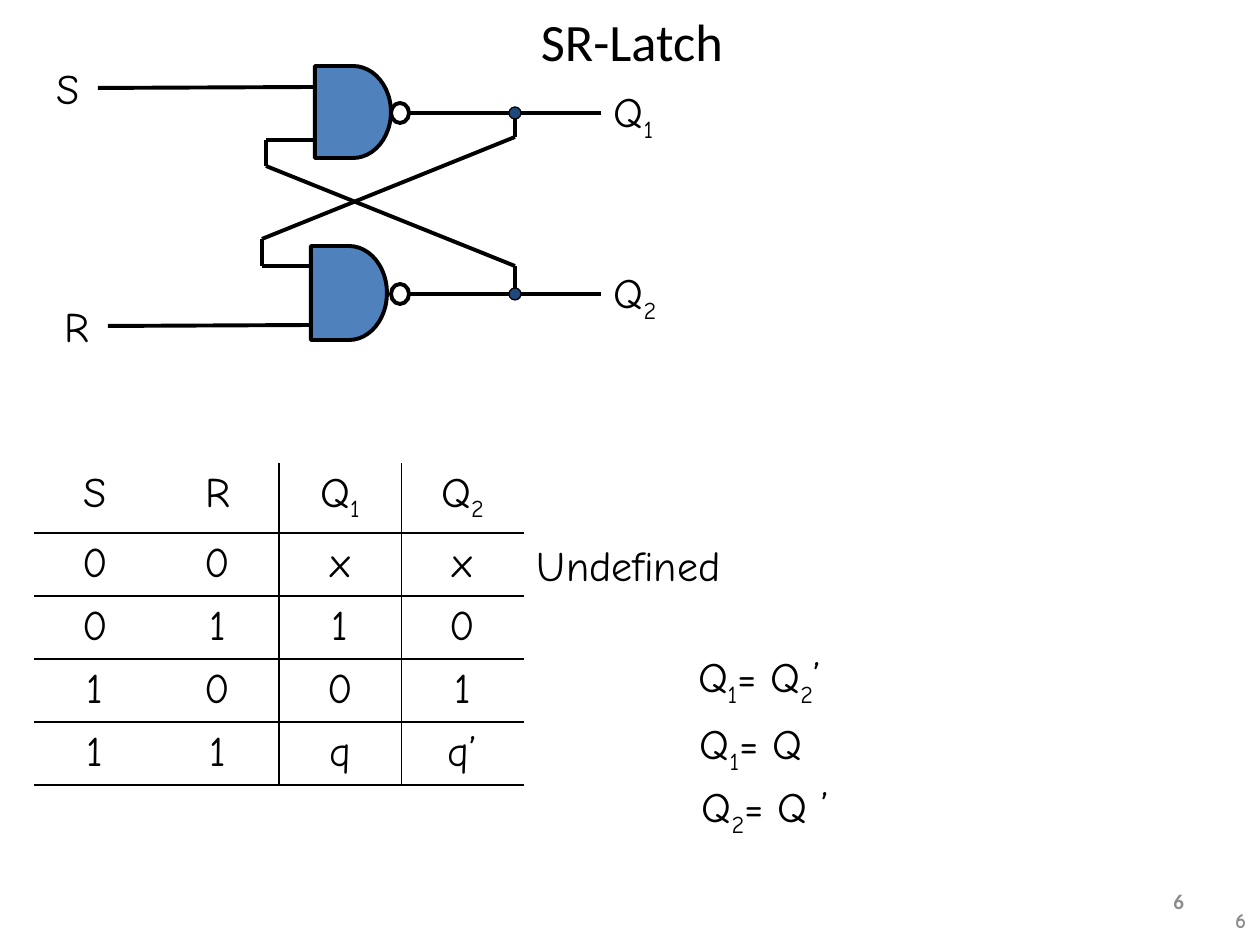
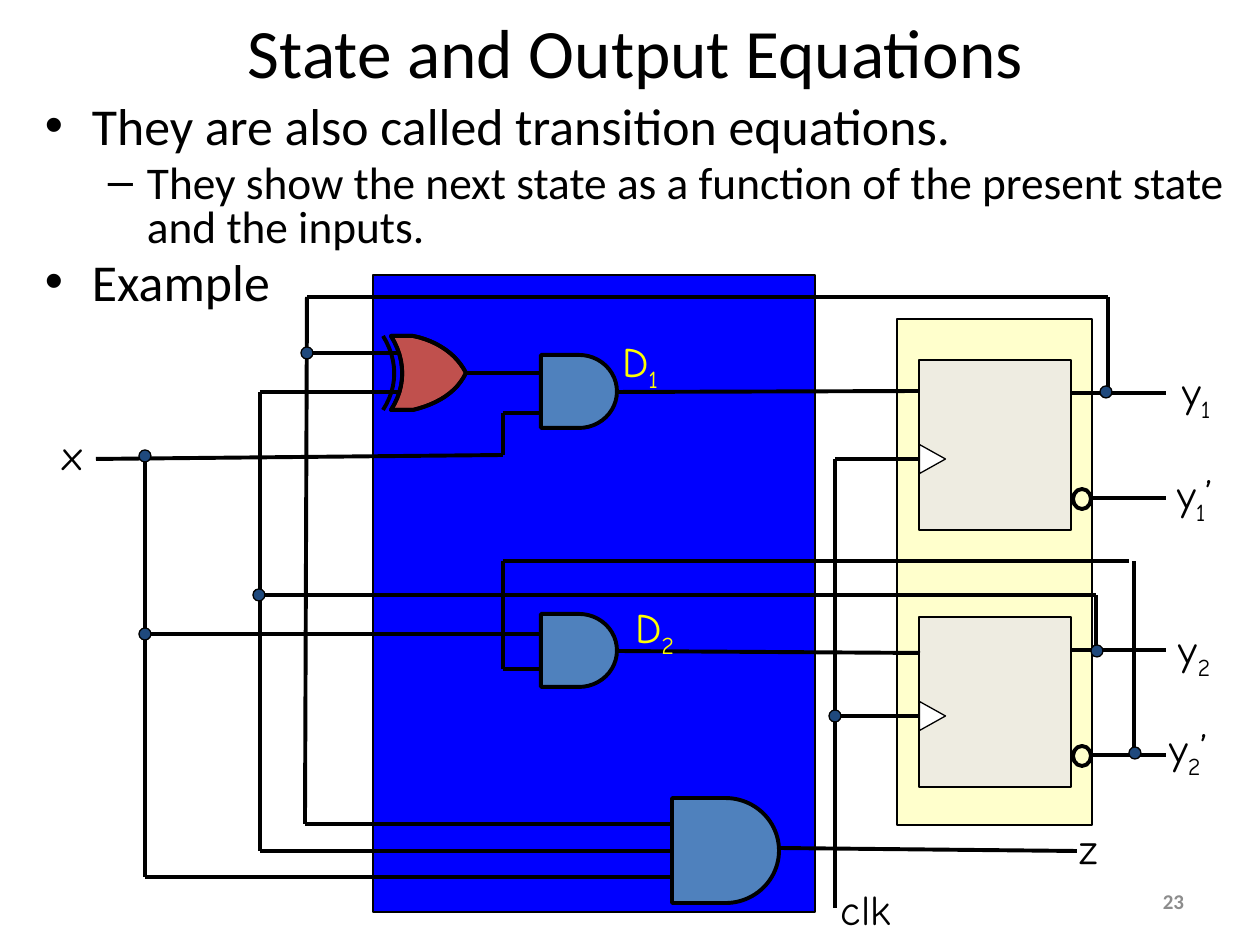
from itertools import pairwise

from lxml import etree
from pptx import Presentation, util as u
from pptx.dml.color import RGBColor
from pptx.enum import shapes, text
from pptx.oxml.ns import qn

PX = 914400 / 126
COLORS = {
    "ink": "000000", "grey": "8C8C8C", "white": "FFFFFF", "yellow": "FFFF00",
    "gate": "4F81BD", "xor": "C0504D", "dot": "1F497D", "logic": "0000FF",
    "bank": "FFFFCC", "flip_flop": "EEECE1",
}
BODY_FONT, LABEL_FONT = "Calibri", "Comic Neue"
PLAIN_TABLE = "{2D5ABB26-0587-4C30-8999-92F81FD0307C}"
KIND = shapes.MSO_SHAPE
ALIGN, ANCHOR = text.PP_ALIGN, text.MSO_ANCHOR
WIRE, THIN = 2.25, 0.75


def px(*values):
    return [round(v * PX) for v in values]


def rgb(name):
    return RGBColor.from_string(COLORS[name])


def write(p, content, size=24, font=LABEL_FONT, color="ink", bold=False):
    first, *rest = content.split("_")
    pieces = [(first, False)]
    for piece in rest:
        pieces += [(piece[0], True), (piece[1:], False)]
    for piece, is_sub in pieces:
        if not piece:
            continue
        r = p.add_run()
        r.text = piece
        r.font.size, r.font.name, r.font.bold = u.Pt(size), font, bold
        r.font.color.rgb = rgb(color)
        if is_sub:
            r._r.get_or_add_rPr().set("baseline", "-25000")


def add_box(s, x, y, w, h, anchor=ANCHOR.TOP, inset=(0, 0)):
    tf = s.shapes.add_textbox(*px(x, y, w, h)).text_frame
    tf.word_wrap = True
    tf.vertical_anchor = anchor
    tf.margin_left = tf.margin_right = px(inset[0])[0]
    tf.margin_top = tf.margin_bottom = px(inset[1])[0]
    return tf


def add_text(s, content, x, y, w=70, h=50, align=ALIGN.LEFT,
             anchor=ANCHOR.TOP, inset=(0, 0), **style):
    p = add_box(s, x, y, w, h, anchor, inset).paragraphs[0]
    p.alignment = align
    write(p, content, **style)


def add_title(s, content, x, y, w, h, size):
    add_text(s, content, x, y, w, h, ALIGN.CENTER, ANCHOR.MIDDLE,
             (13, 6), size=size, font=BODY_FONT)


def add_number(s, content, x=903, y=876, font=BODY_FONT):
    add_text(s, content, x, y, 294, 50, ALIGN.RIGHT, ANCHOR.MIDDLE,
             (13, 6), size=12, font=font, color="grey", bold=True)


def add_labels(s, labels, **style):
    for content, x, y in labels:
        add_text(s, content, x, y, **style)


def paint(sp, fill, width):
    sp.shadow.inherit = False
    if fill:
        sp.fill.solid()
        sp.fill.fore_color.rgb = rgb(fill)
    else:
        sp.fill.background()
    sp.line.color.rgb = rgb("ink")
    sp.line.width = u.Pt(width)


def add_shape(s, kind, x, y, w, h, fill=None, width=WIRE):
    sp = s.shapes.add_shape(kind, *px(x, y, w, h))
    paint(sp, fill, width)
    return sp


def add_wire(s, *points):
    for start, end in pairwise(points):
        line = s.shapes.add_connector(shapes.MSO_CONNECTOR.STRAIGHT, *px(*start, *end))
        line.line.color.rgb = rgb("ink")
        line.line.width = u.Pt(WIRE)
        etree.SubElement(line._element.spPr, qn("a:effectLst"))


def add_gate(s, x, y, w, h):
    add_shape(s, KIND.FLOWCHART_DELAY, x, y, w, h, "gate")


def add_bubble(s, x, y):
    add_shape(s, KIND.OVAL, x, y, 18, 20)


def add_dots(s, *centers):
    for x, y in centers:
        add_shape(s, KIND.OVAL, x - 6, y - 6, 12, 12, "dot", THIN)


def curve(a, b, c, d, steps=12):
    def at(t):
        weights = ((1 - t) ** 3, 3 * t * (1 - t) ** 2, 3 * t * t * (1 - t), t ** 3)
        return tuple(sum(k * pt[i] for k, pt in zip(weights, (a, b, c, d))) for i in (0, 1))
    return [at(n / steps) for n in range(steps + 1)]


def add_outline(s, *contours, fill=None, close=False):
    builder = s.shapes.build_freeform(*px(*contours[0][0]))
    for n, (first, *rest) in enumerate(contours):
        if n:
            builder.move_to(*px(*first))
        builder.add_line_segments([tuple(px(*pt)) for pt in rest], close=close)
    paint(builder.convert_to_shape(), fill, WIRE)


def add_xor(s, x, y):
    def back(left):
        return curve((left, y + 74), (left + 15, y + 51), (left + 15, y + 24), (left, y))
    tip = (x + 83, y + 37)
    lower = curve(tip, (x + 74, y + 56), (x + 55, y + 68), (x + 30, y + 74))
    upper = curve((x + 30, y), (x + 55, y + 5), (x + 74, y + 19), tip)
    body = lower + back(x + 8) + upper
    leads = [[(x - 34, y + 17), (x + 43, y + 17)],
             [(x - 34, y + 56), (x + 43, y + 56)],
             [(x + 120, y + 37), (x + 43, y + 37)]]
    add_outline(s, *leads)
    add_outline(s, body, fill="xor", close=True)
    add_outline(s, body, back(x))


def add_flip_flop(s, x, y):
    add_shape(s, KIND.RECTANGLE, x, y, 152, 170, "flip_flop", THIN)
    clock = add_shape(s, KIND.ISOSCELES_TRIANGLE, x - 1, y + 86, 29, 26, "white", THIN)
    clock.rotation = 90
    add_bubble(s, x + 154, y + 129)
    add_wire(s, (x + 152, y + 33), (x + 247, y + 33))
    add_wire(s, (x + 174, y + 138), (x + 247, y + 138))


def set_borders(cell, sides):
    tc_pr = cell._tc.get_or_add_tcPr()
    for side in ("L", "R", "T", "B"):
        if side in sides:
            ln = etree.SubElement(tc_pr, qn("a:ln" + side), w="12700")
            fill = etree.SubElement(ln, qn("a:solidFill"))
            etree.SubElement(fill, qn("a:srgbClr"), val=COLORS["ink"])


def add_truth_table(s, rows, x, y, col_w, row_heights, ruled_rows, split_col):
    frame = s.shapes.add_table(len(rows), len(rows[0]),
                               *px(x, y, col_w * len(rows[0]), sum(row_heights)))
    table = frame.table
    table.first_row = table.horz_banding = False
    table._tbl.tblPr.find(qn("a:tableStyleId")).text = PLAIN_TABLE
    for col in table.columns:
        col.width = px(col_w)[0]
    for i, values in enumerate(rows):
        table.rows[i].height = px(row_heights[i])[0]
        for j, value in enumerate(values):
            cell = table.cell(i, j)
            sides = {"L": j == split_col, "R": j == split_col - 1,
                     "T": i - 1 in ruled_rows, "B": i in ruled_rows}
            set_borders(cell, [side for side, on in sides.items() if on])
            cell.fill.background()
            p = cell.text_frame.paragraphs[0]
            p.alignment = ALIGN.CENTER
            write(p, value)


def add_bullets(s, items, x, y, w, h):
    levels = [("•", 47, -47, 29.6), ("–", 102, -39, 25.9)]
    tf = add_box(s, x, y, w, h, inset=(13, 6))
    for n, (level, content) in enumerate(items):
        mark, margin, indent, size = levels[level]
        p = tf.add_paragraph() if n else tf.paragraphs[0]
        p_pr = p._p.get_or_add_pPr()
        p_pr.set("marL", str(px(margin)[0]))
        p_pr.set("indent", str(px(indent)[0]))
        etree.SubElement(p_pr, qn("a:buFont"), typeface="Arial")
        etree.SubElement(p_pr, qn("a:buChar"), char=mark)
        p.line_spacing = 0.8
        if n:
            p.space_before = u.Pt(round(size * 0.2, 1))
        write(p, content, size=size, font=BODY_FONT)


def build_latch(s):
    add_title(s, "SR-Latch", 65, 2, 1134, 78, 30)
    add_wire(s, (98, 88), (319, 87))
    add_wire(s, (108, 326), (315, 325))
    add_wire(s, (315, 140), (266, 140), (266, 166), (515, 266), (515, 294))
    add_wire(s, (311, 266), (262, 266), (262, 239), (515, 137), (515, 113))
    for y in (113, 294):
        add_wire(s, (408, y), (601, y))
        add_bubble(s, 391, y - 10)
        add_dots(s, (515, y))
    add_gate(s, 315, 66, 76, 92)
    add_gate(s, 311, 246, 76, 94)
    add_labels(s, [("S", 57, 63), ("R", 65, 301), ("Q_1", 614, 86), ("Q_2", 614, 267)])
    rows = [("S", "R", "Q_1", "Q_2"), ("0", "0", "x", "x"), ("0", "1", "1", "0"),
            ("1", "0", "0", "1"), ("1", "1", "q", "q’")]
    add_truth_table(s, rows, 34, 463, 122.5, [70] + [63] * 4, (0, 2, 4), 2)
    add_labels(s, [("Undefined", 537, 540), ("Q_1= Q_2’", 698, 651),
                   ("Q_1= Q", 700, 718), ("Q_2= Q ’", 702, 781)], w=210)
    add_number(s, "6")
    add_number(s, "6", 965, 895, LABEL_FONT)


def build_equations(s):
    add_title(s, "State and Output Equations", 32, 0, 1207, 102, 39.6)
    add_bullets(s, [
        (0, "They are also called transition equations."),
        (1, "They show the next state as a function of the present state and the inputs."),
        (0, "Example"),
    ], 32, 100, 1207, 242)
    add_number(s, "23")
    add_shape(s, KIND.RECTANGLE, 373, 275, 442, 637, "logic", THIN)
    add_shape(s, KIND.RECTANGLE, 897, 319, 195, 506, "bank", THIN)

    wires = {
        "y1": [(1108, 391), (1108, 297), (307, 297), (305, 824), (672, 824)],
        "y1 to xor": [(307, 353), (349, 353)],
        "x": [(96, 459), (503, 455), (503, 413), (541, 413)],
        "x to z": [(145, 459), (145, 877), (672, 877)],
        "x to D2": [(145, 634), (541, 634)],
        "y2": [(1096, 651), (1096, 595), (260, 595), (260, 392), (349, 392)],
        "y2 to z": [(260, 595), (260, 851), (672, 851)],
        "y2 inverse": [(1134, 753), (1134, 561)],
        "y2 inverse to D2": [(1129, 561), (503, 561), (503, 669), (541, 669)],
        "xor to D1": [(503, 373), (541, 373)],
        "D1": [(614, 392), (918, 391)],
        "D2": [(616, 651), (920, 653)],
        "z": [(777, 848), (1077, 851)],
        "clk": [(919, 459), (835, 459), (835, 908)],
        "clk to second": [(835, 716), (919, 716)],
    }
    for y in (360, 617):
        add_flip_flop(s, 919, y)
    for points in wires.values():
        add_wire(s, *points)
    add_xor(s, 383, 336)
    add_gate(s, 541, 355, 76, 73)
    add_gate(s, 541, 614, 76, 73)
    add_gate(s, 672, 798, 107, 105)
    add_dots(s, (1106, 392), (307, 353), (145, 456), (1097, 651),
             (145, 634), (259, 595), (835, 716), (1135, 753))
    add_labels(s, [("D_1", 622, 336), ("D_2", 635, 602)], color="yellow")
    add_labels(s, [("x", 62, 429), ("z", 1080, 823), ("clk", 841, 884),
                   ("y_1", 1182, 366), ("y_1’", 1177, 469),
                   ("y_2", 1179, 624), ("y_2’", 1169, 723)])


def main():
    prs = Presentation()
    prs.slide_width, prs.slide_height = px(1260, 945)
    for build in (build_latch, build_equations):
        build(prs.slides.add_slide(prs.slide_layouts[6]))
    prs.save("out.pptx")


if __name__ == "__main__":
    main()
